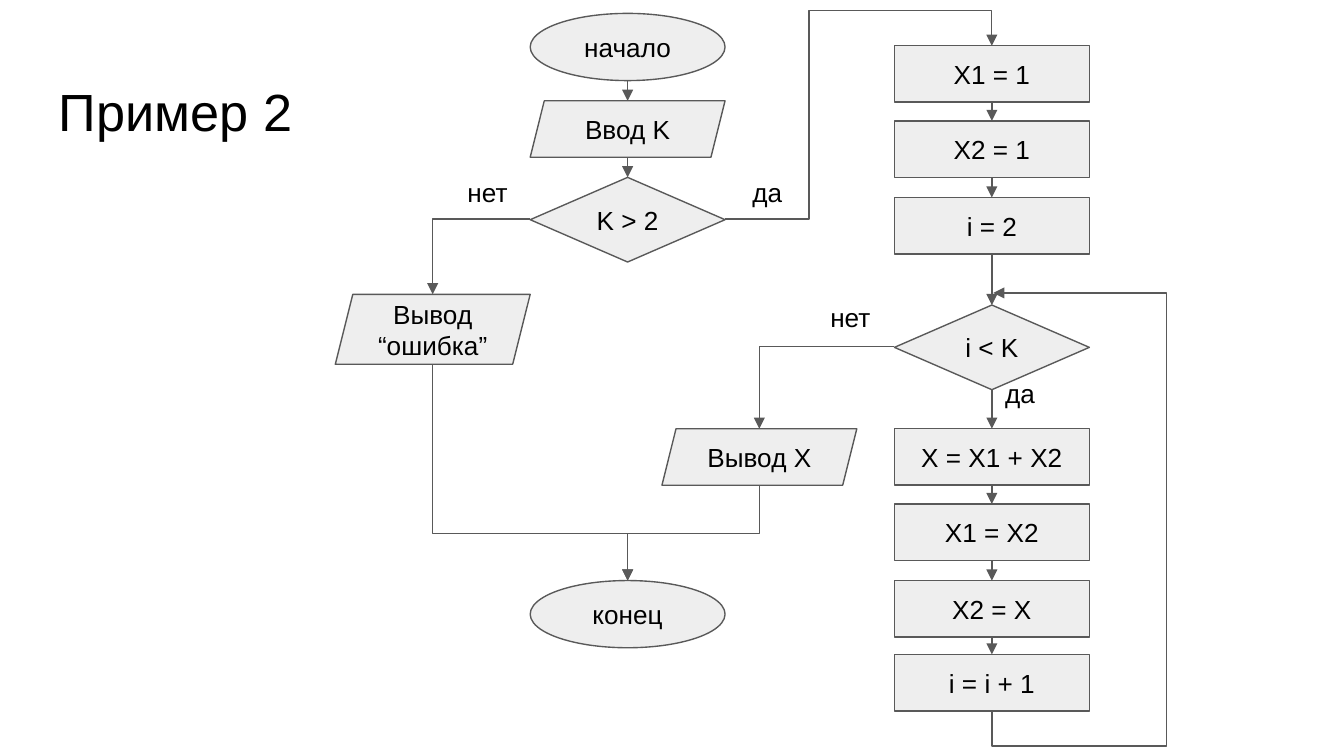
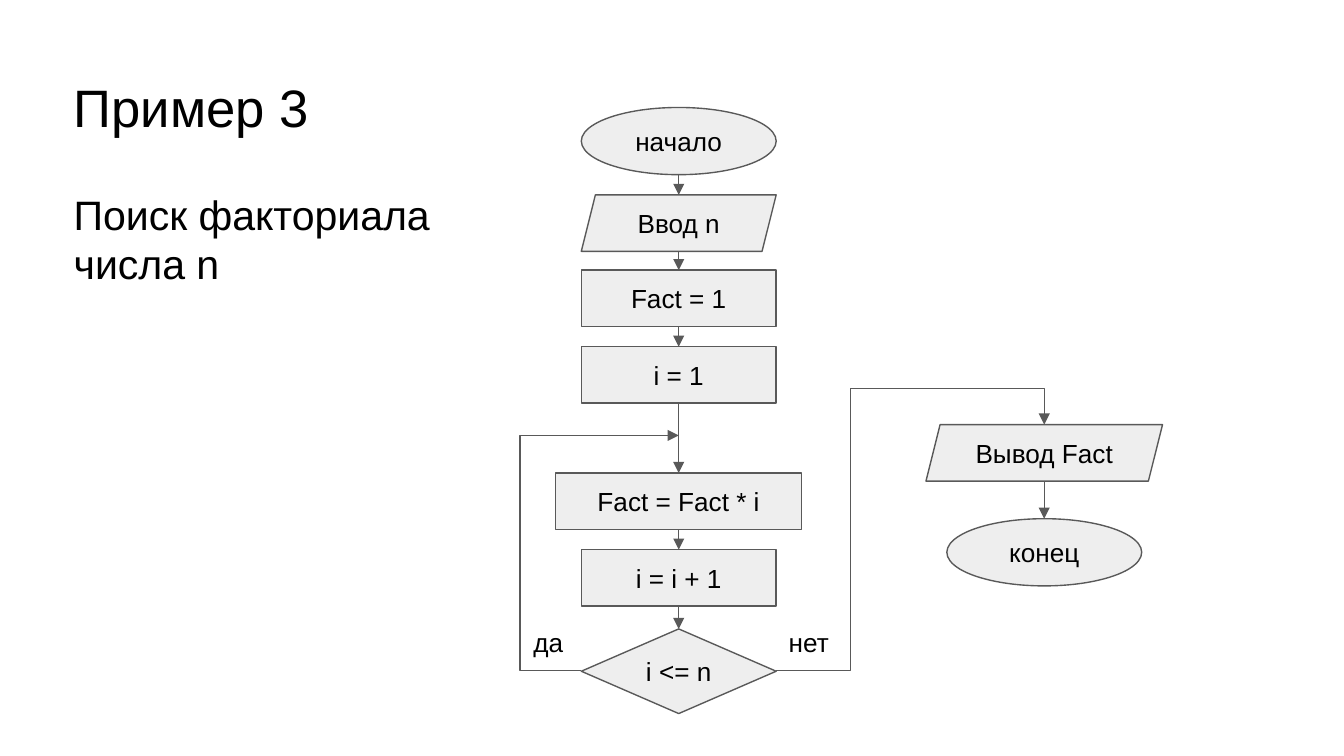
import pptx
import pptx.util
import pptx.dml.color
import pptx.enum.shapes
import pptx.enum.text
import pptx.oxml
import pptx.oxml.ns

Inches = pptx.util.Inches
SHAPE = pptx.enum.shapes.MSO_SHAPE
ALIGN = pptx.enum.text.PP_ALIGN
ANCHOR = pptx.enum.text.MSO_ANCHOR
FIT = pptx.enum.text.MSO_AUTO_SIZE
LINK = pptx.enum.shapes.MSO_CONNECTOR

FONT = "Arial"
INK = "000000"
GREY = "EEEEEE"
EDGE = "595959"
WIDTH = 1.45
KINDS = {
    "end": (SHAPE.OVAL, 0.5),
    "step": (SHAPE.RECTANGLE, 0.42),
    "data": (SHAPE.PARALLELOGRAM, 0.42),
    "test": (SHAPE.DIAMOND, 0.63),
}


def color(code):
    return pptx.dml.color.RGBColor.from_string(code)


def write(shape, text, size=14, align=ALIGN.LEFT, anchor=ANCHOR.TOP, fit=FIT.NONE):
    frame = shape.text_frame
    frame.word_wrap = True
    frame.auto_size = fit
    frame.vertical_anchor = anchor
    frame.margin_left = frame.margin_right = Inches(0.1)
    frame.margin_top = frame.margin_bottom = Inches(0.1)
    para = frame.paragraphs[0]
    para.alignment = align
    run = para.add_run()
    run.text = text
    run.font.size = pptx.util.Pt(size)
    run.font.name = FONT
    run.font.color.rgb = color(INK)


def label(slide, text, left, top, width, height=0.44, size=14, fit=FIT.SHAPE_TO_FIT_TEXT):
    box = slide.shapes.add_textbox(*map(Inches, (left, top, width, height)))
    write(box, text, size=size, fit=fit)


def title(slide, text, left, top, size=28):
    label(slide, text, left, top, 9.32, 0.63, size, FIT.NONE)


def block(slide, kind, text, mid, top, width=WIDTH, height=None):
    form, usual = KINDS[kind]
    height = height or usual
    box = (mid - width / 2, top, width, height)
    shape = slide.shapes.add_shape(form, *map(Inches, box))
    shape.shadow.inherit = False
    shape.fill.solid()
    shape.fill.fore_color.rgb = color(GREY)
    shape.line.color.rgb = color(EDGE)
    shape.line.width = pptx.util.Pt(0.75)
    write(shape, text, align=ALIGN.CENTER, anchor=ANCHOR.MIDDLE)
    return top + height


def bend(link, points):
    first, last = points[0], points[-1]
    main = 0 if points[1][1] == first[1] else 1
    span = [last[i] - first[i] for i in (0, 1)]
    wide, high = abs(span[main]), abs(span[1 - main])
    link.left = Inches((first[0] + last[0] - wide) / 2)
    link.top = Inches((first[1] + last[1] - high) / 2)
    link.width, link.height = Inches(wide), Inches(high)

    frame = link.element.spPr.find(pptx.oxml.ns.qn("a:xfrm"))
    frame.set("rot", str(main * 5400000))
    frame.set("flipH", str(int(span[main] < 0)))
    frame.set("flipV", str(int(span[0] > 0 if main else span[1] < 0)))

    shape = link.element.spPr.find(pptx.oxml.ns.qn("a:prstGeom"))
    count = len(points) - 1
    shape.set("prst", f"bentConnector{count}")
    guides = shape.find(pptx.oxml.ns.qn("a:avLst"))
    if guides is None:
        guides = shape.makeelement(pptx.oxml.ns.qn("a:avLst"), {})
        shape.append(guides)
    for turn in range(1, count - 1):
        axis = (main + turn - 1) % 2
        ratio = (points[turn][axis] - first[axis]) / span[axis]
        guide = guides.makeelement(pptx.oxml.ns.qn("a:gd"), {
            "name": f"adj{turn}", "fmla": f"val {round(ratio * 100000)}"})
        guides.append(guide)


def arrow(slide, *points):
    kind = LINK.STRAIGHT if len(points) == 2 else LINK.ELBOW
    ends = [Inches(value) for point in (points[0], points[-1]) for value in point]
    link = slide.shapes.add_connector(kind, *ends)
    if len(points) > 2:
        bend(link, points)
    link.line.color.rgb = color(EDGE)
    link.line.width = pptx.util.Pt(0.75)
    space = pptx.oxml.ns.nsdecls("a")
    line = link.element.spPr.find(pptx.oxml.ns.qn("a:ln"))
    line.append(pptx.oxml.parse_xml(f'<a:tailEnd {space} type="triangle"/>'))
    link.element.spPr.append(pptx.oxml.parse_xml(f"<a:effectLst {space}/>"))


def chain(slide, mid, steps):
    above = None
    for kind, text, top, *width in steps:
        if above is not None:
            arrow(slide, (mid, above), (mid, top))
        above = block(slide, kind, text, mid, top, *width)


def series(slide):
    left, right, fail, show = 4.67, 7.38, 3.22, 5.65
    half = WIDTH / 2
    chain(slide, left, [
        ("end", "начало", 0.1),
        ("data", "Ввод K", 0.75),
        ("test", "K > 2", 1.32),
    ])
    chain(slide, right, [
        ("step", "X1 = 1", 0.34),
        ("step", "X2 = 1", 0.9),
        ("step", "i = 2", 1.47),
        ("test", "i < K", 2.27),
        ("step", "X = X1 + X2", 3.19),
        ("step", "X1 = X2", 3.75),
        ("step", "X2 = X", 4.32),
        ("step", "i = i + 1", 4.87),
    ])
    block(slide, "data", "Вывод “ошибка”", fail, 2.19, height=0.52)
    block(slide, "data", "Вывод X", show, 3.19)
    block(slide, "end", "конец", left, 4.32)

    arrow(slide, (left + half, 1.63), (6.02, 1.63), (6.02, 0.08), (right, 0.08), (right, 0.34))
    arrow(slide, (left - half, 1.63), (fail, 1.63), (fail, 2.19))
    arrow(slide, (right - half, 2.58), (show, 2.58), (show, 3.19))
    arrow(slide, (right, 5.29), (right, 5.55), (8.7, 5.55), (8.7, 2.18), (right + 0.01, 2.18))
    for mid, low in ((fail, 2.71), (show, 3.61)):
        arrow(slide, (mid, low), (mid, 3.97), (left, 3.97), (left, 4.32))

    label(slide, "нет", 3.38, 1.21, 0.57)
    label(slide, "да", 5.5, 1.21, 0.45)
    label(slide, "нет", 6.08, 2.14, 0.57)
    label(slide, "да", 7.38, 2.71, 0.45)
    title(slide, "Пример 2", 0.34, 0.49)


def product(slide):
    left, right = 5.05, 7.77
    half = WIDTH / 2
    chain(slide, left, [
        ("end", "начало", 0.8),
        ("data", "Ввод n", 1.45),
        ("step", "Fact = 1", 2.01),
        ("step", "i = 1", 2.58),
        ("step", "Fact = Fact * i", 3.52, 1.83),
        ("step", "i = i + 1", 4.09),
        ("test", "i <= n", 4.68),
    ])
    chain(slide, right, [
        ("data", "Вывод Fact", 3.16, 1.76),
        ("end", "конец", 3.86),
    ])
    arrow(slide, (left - half, 4.99), (3.87, 4.99), (3.87, 3.24), (left, 3.24))
    arrow(slide, (left + half, 4.99), (6.33, 4.99), (6.33, 2.89), (right, 2.89), (right, 3.16))

    label(slide, "нет", 5.77, 4.56, 0.57)
    label(slide, "да", 3.87, 4.56, 0.57)
    title(slide, "Пример 3", 0.45, 0.46, 28.2)
    label(slide, "Поиск факториала числа n", 0.45, 1.31, 2.91, 0.94, 22)


def main():
    deck = pptx.Presentation()
    deck.slide_width = Inches(10)
    deck.slide_height = Inches(10) * 9 // 16
    for draw in (series, product):
        draw(deck.slides.add_slide(deck.slide_layouts[6]))
    deck.save("out.pptx")


if __name__ == "__main__":
    main()
